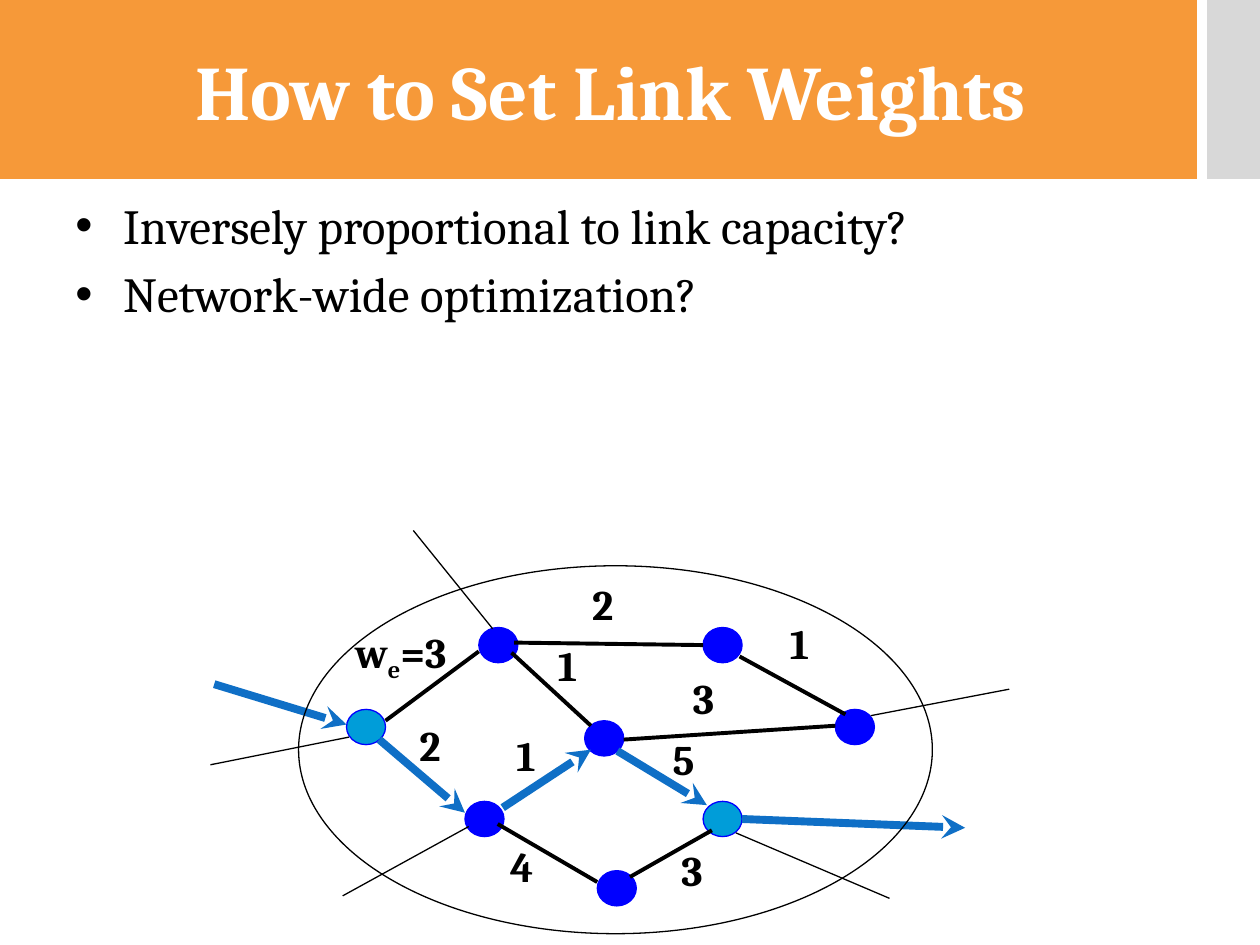
import collections
import dataclasses

import lxml.etree
import pptx
import pptx.dml.color
import pptx.enum.shapes
import pptx.enum.text
import pptx.oxml.ns
import pptx.util

PX = 9144
Box = collections.namedtuple("Box", "left top width height")
SHAPES = pptx.enum.shapes.MSO_SHAPE
qn = pptx.oxml.ns.qn


@dataclasses.dataclass(frozen=True)
class Theme:
    """Colours, font and type sizes of the slide."""
    font: str = "Cambria"
    band: str = "F69939"
    edge: str = "D8D8D8"
    paper: str = "FFFFFF"
    ink: str = "000000"
    node: str = "0000FF"
    endpoint: str = "009DD9"
    route: str = "0F6FC6"
    title_size: int = 44
    body_size: int = 28
    label_size: int = 24
    thin: float = 0.75
    medium: float = 2.25
    thick: float = 4.5


THEME = Theme()


def rgb(value):
    """Return a colour from its hex value."""
    return pptx.dml.color.RGBColor.from_string(value)


def inside(box, left, top, width, height):
    """Return the page box for a place given relative to a box."""
    return Box(box.left + left, box.top + top, width, height)


def to_emu(lengths):
    """Turn px lengths into EMU."""
    return [length * PX for length in lengths]


def add_shape(page, kind, box, fill=None, line=None):
    """Add a preset shape with an optional fill and a thin outline."""
    shape = page.shapes.add_shape(kind, *to_emu(box))
    shape.shadow.inherit = False
    if fill:
        shape.fill.solid()
        shape.fill.fore_color.rgb = rgb(fill)
    else:
        shape.fill.background()
    if line:
        shape.line.color.rgb = rgb(line)
        shape.line.width = pptx.util.Pt(THEME.thin)
    else:
        shape.line.fill.background()
    return shape


def add_line(page, box, ends, color, width, arrow=False):
    """Add a straight line, with an arrowhead at its end if wanted."""
    x1, y1, x2, y2 = ends
    points = (box.left + x1, box.top + y1, box.left + x2, box.top + y2)
    line = page.shapes.add_connector(
        pptx.enum.shapes.MSO_CONNECTOR.STRAIGHT, *to_emu(points))
    line.line.color.rgb = rgb(color)
    line.line.width = pptx.util.Pt(width)
    if arrow:
        lxml.etree.SubElement(line.line._get_or_add_ln(), qn("a:tailEnd"), type="stealth")
    lxml.etree.SubElement(line._element.spPr, qn("a:effectLst"))


def style(span, size, color, bold=False):
    """Set the font of a run."""
    span.font.name = THEME.font
    span.font.size = pptx.util.Pt(size)
    span.font.bold = bold
    span.font.color.rgb = rgb(color)


def add_label(page, box, parts):
    """Add a bold label from pairs of text and baseline shift."""
    label = page.shapes.add_textbox(*to_emu(box))
    frame = label.text_frame
    frame.word_wrap = False
    frame.auto_size = pptx.enum.text.MSO_AUTO_SIZE.SHAPE_TO_FIT_TEXT
    for text, baseline in parts:
        span = frame.paragraphs[0].add_run()
        span.text = text
        style(span, THEME.label_size, THEME.ink, True)
        if baseline:
            span._r.get_or_add_rPr().set("baseline", str(baseline))


def add_header(page, box):
    """Place the title band and the grey block at its right."""
    add_shape(page, SHAPES.RECTANGLE, inside(box, 958, 0, 42, box.height), THEME.edge)
    band = add_shape(page, SHAPES.RECTANGLE, inside(box, 0, 0, 950, box.height), THEME.band)
    frame = band.text_frame
    frame.text = "How to Set Link Weights"
    frame.word_wrap = True
    frame.margin_left = 30 * PX
    frame.vertical_anchor = pptx.enum.text.MSO_ANCHOR.MIDDLE
    para = frame.paragraphs[0]
    para.alignment = pptx.enum.text.PP_ALIGN.CENTER
    style(para.runs[0], THEME.title_size, THEME.paper, True)


def add_bullets(page, box, lines):
    """Place the bulleted questions."""
    frame = page.shapes.add_textbox(*to_emu(box)).text_frame
    frame.word_wrap = True
    frame.text = "\n".join(lines)
    for index, para in enumerate(frame.paragraphs):
        properties = para._p.get_or_add_pPr()
        properties.set("marL", str(38 * PX))
        properties.set("indent", str(-38 * PX))
        color = lxml.etree.SubElement(properties, qn("a:buClr"))
        lxml.etree.SubElement(color, qn("a:srgbClr"), val=THEME.ink)
        lxml.etree.SubElement(properties, qn("a:buFont"), typeface="Arial")
        lxml.etree.SubElement(properties, qn("a:buChar"), char="•")
        if index:
            para.space_before = pptx.util.Pt(5.6)
        style(para.runs[0], THEME.body_size, THEME.ink)


def add_network(page, box):
    """Place the weighted network with its chosen route."""
    endpoints = [(108, 142), (391, 215)]
    routers = [(202, 215), (213, 77), (297, 151), (391, 77), (307, 270), (496, 142)]
    links = [(139, 151, 213, 96), (239, 97, 302, 155), (228, 233, 307, 279),
             (333, 275, 398, 238), (328, 166, 496, 155), (241, 89, 391, 91),
             (420, 100, 504, 146)]
    route = [(3, 122, 108, 154), (134, 166, 202, 224), (232, 220, 302, 174),
             (323, 175, 394, 218), (422, 229, 599, 236)]
    outside = [(110, 164, 0, 186), (417, 240, 539, 292), (634, 126, 524, 147),
               (161, 0, 224, 78), (205, 235, 105, 290)]
    weights = [("2", 293, 33), ("2", 156, 145), ("1", 266, 82), ("1", 233, 153),
               ("3", 373, 108), ("1", 450, 64), ("4", 228, 241), ("5", 357, 156),
               ("3", 364, 244)]
    for places, color in ((endpoints, THEME.endpoint), (routers, THEME.node)):
        for left, top in places:
            add_shape(page, SHAPES.OVAL, inside(box, left, top, 31, 28), color, THEME.node)
    for ends in links:
        add_line(page, box, ends, THEME.ink, THEME.medium)
    for ends in route:
        add_line(page, box, ends, THEME.route, THEME.thick, arrow=True)
    add_label(page, inside(box, 105, 71, 98, 51), [("w", 0), ("e", -25000), ("=3", 0)])
    for text, left, top in weights:
        add_label(page, inside(box, left, top, 38, 51), [(text, 0)])
    add_shape(page, SHAPES.OVAL, inside(box, 70, 28, 503, 292), line=THEME.ink)
    for ends in outside:
        add_line(page, box, ends, THEME.ink, THEME.thin)


def main():
    """Build the deck and save it."""
    deck = pptx.Presentation()
    deck.slide_width, deck.slide_height = to_emu((1000, 750))
    page = deck.slides.add_slide(deck.slide_layouts[6])
    add_network(page, Box(167, 421, 634, 320))
    add_bullets(page, Box(50, 150, 900, 495),
                ["Inversely proportional to link capacity?", "Network-wide optimization?"])
    add_header(page, Box(0, 0, 1000, 142))
    deck.save("out.pptx")


if __name__ == "__main__":
    main()
